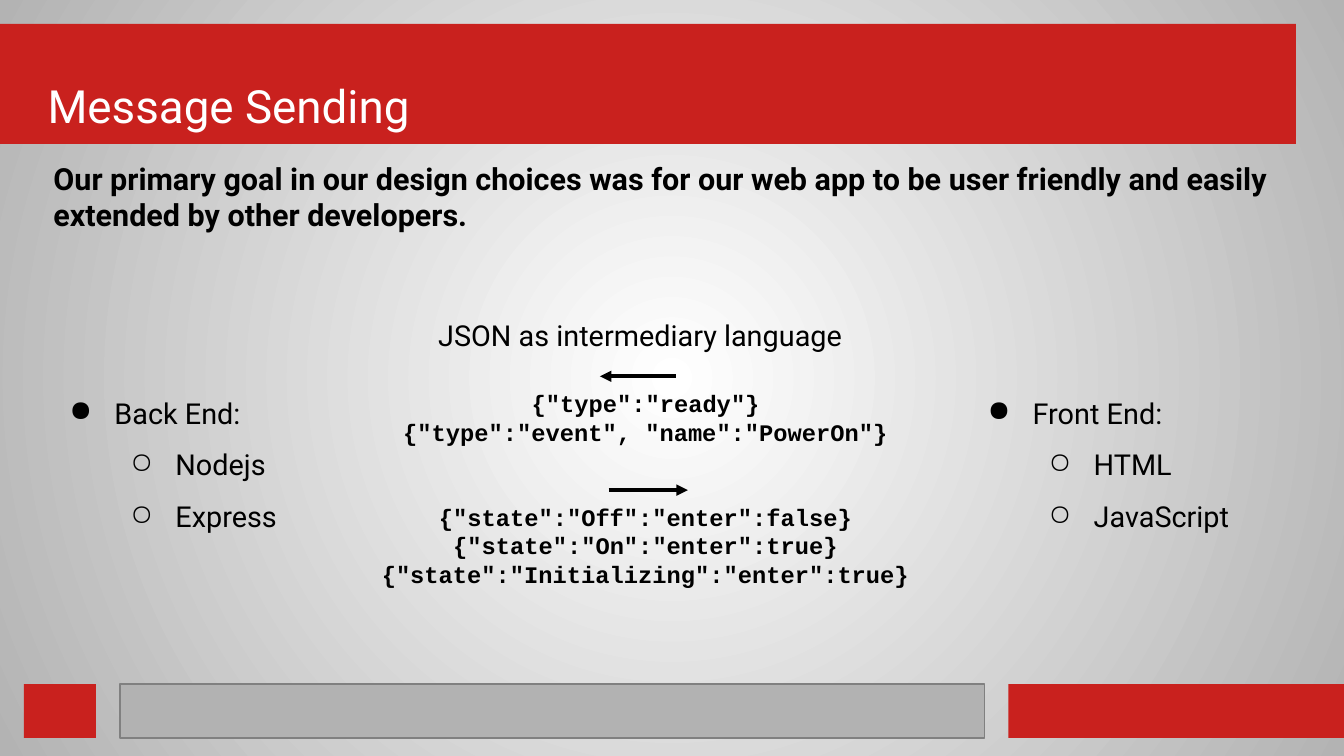
"""Build the Message Sending slide."""
from dataclasses import dataclass
from lxml.etree import SubElement as Sub
from pptx import Presentation
from pptx.dml.color import RGBColor as RGB
from pptx.enum.shapes import MSO_CONNECTOR as Conn, MSO_SHAPE as Form
from pptx.enum.text import MSO_ANCHOR as Anchor, MSO_AUTO_SIZE as Fit, PP_ALIGN as Align
from pptx.oxml.ns import qn
from pptx.util import Pt

TITLE = "Message Sending"
GOAL = ("Our primary goal in our design choices was for our web app "
        "to be user friendly and easily extended by other developers.")
BRIDGE = "JSON as intermediary language"
LISTS = [
    (24.5, 195.8, ["Back End:", "Nodejs", "Express"]),
    (566.6, 208.8, ["Front End:", "HTML", "JavaScript"]),
]
CODE = [
    ['{"type":"ready"}', '{"type":"event", "name":"PowerOn"}'],
    ['{"state":"Off":"enter":false}', '{"state":"On":"enter":true}',
     '{"state":"Initializing":"enter":true}'],
]
ARROWS = [(398.9, 354.2, 222.2), (359.3, 406.1, 289.4)]


@dataclass(frozen=True)
class Theme:
    """Colours, fonts and type sizes."""
    red: str = "C9211E"
    gray: str = "B2B2B2"
    edge: str = "808080"
    glow: str = "FFFFFF"
    rim: str = "B3B3B3"
    ink: str = "000000"
    sans: str = "Roboto"
    mono: str = "Courier New"
    head: float = 27
    lead: float = 18
    body: float = 17
    code: float = 14


T = Theme()
WIDE, HIGH = 793.44, 446.4
GAP = 14.17
PAD = 7.2
PITCH = 16.8

deck = Presentation()
deck.slide_width, deck.slide_height = Pt(WIDE), Pt(HIGH)
slide = deck.slides.add_slide(deck.slide_layouts[5])
shapes = slide.shapes


def paint():
    """Fill the background with a round gradient."""
    fill = slide.background.fill
    fill.gradient()
    for stop, hue in zip(fill.gradient_stops, (T.glow, T.rim)):
        stop.color.rgb = RGB.from_string(hue)
    grad = slide.element.find(".//" + qn("a:gradFill"))
    grad.remove(grad.find(qn("a:lin")))
    ring = Sub(grad, qn("a:path"), path="circle")
    Sub(ring, qn("a:fillToRect"), l="50000", t="50000", r="50000", b="50000")


def bar(x, y, w, h, hue, edge=None):
    """Draw a flat bar."""
    box = shapes.add_shape(Form.RECTANGLE, Pt(x), Pt(y), Pt(w), Pt(h))
    box.shadow.inherit = False
    box.fill.solid()
    box.fill.fore_color.rgb = RGB.from_string(hue)
    if edge:
        box.line.color.rgb = RGB.from_string(edge)
        box.line.width = Pt(0.75)
    else:
        box.line.fill.background()


def setup(frame, pad, anchor=Anchor.TOP):
    """Set wrapping, insets and anchor of a text frame."""
    frame.word_wrap = True
    frame.auto_size = Fit.NONE
    frame.vertical_anchor = anchor
    frame.margin_left = frame.margin_right = Pt(pad)
    frame.margin_top = frame.margin_bottom = Pt(pad)
    return frame


def text(x, y, w, h):
    """Add a text box and return its frame."""
    return setup(shapes.add_textbox(Pt(x), Pt(y), Pt(w), Pt(h)).text_frame, PAD)


def write(para, words, size, face=T.sans, hue=T.ink, bold=False):
    """Add one styled run."""
    run = para.add_run()
    run.text = words
    font = run.font
    font.name, font.size, font.bold = face, Pt(size), bold
    font.color.rgb = RGB.from_string(hue)


def line(frame, first):
    """Return the first paragraph or a new one."""
    return frame.paragraphs[0] if first else frame.add_paragraph()


def bullet(para, level):
    """Give a paragraph its bullet and hanging indent."""
    para.level = level
    para.line_spacing = 1.5
    prop = para._p.get_or_add_pPr()
    prop.set("marL", str(Pt(36 * (level + 1))))
    prop.set("indent", str(Pt(-26.6)))
    Sub(Sub(prop, qn("a:buClr")), qn("a:srgbClr"), val=T.ink)
    Sub(prop, qn("a:buChar"), char="●○"[level])


def arrow(start, end, y):
    """Draw a level arrow."""
    link = shapes.add_connector(Conn.STRAIGHT, Pt(start), Pt(y), Pt(end), Pt(y))
    link.line.color.rgb = RGB.from_string(T.ink)
    link.line.width = Pt(2.25)
    Sub(link.line._get_or_add_ln(), qn("a:tailEnd"), type="triangle")
    Sub(link.element.spPr, qn("a:effectLst"))


def main():
    """Compose and save the slide."""
    paint()
    bar(0, GAP, WIDE - 2 * GAP, 70.87, T.red)
    left = GAP
    for wide, hue, edge in [(42.52, T.red, None), (510.24, T.gray, T.edge),
                            (198.17, T.red, None)]:
        bar(left, 403.9, wide, 31.9, hue, edge)
        left += wide + GAP

    title = shapes.title
    title.element.getparent().append(title.element)
    title.left, title.top = Pt(28.1), Pt(21.6)
    title.width, title.height = Pt(736.6), Pt(56.9)
    para = setup(title.text_frame, 0, Anchor.BOTTOM).paragraphs[0]
    para.alignment = Align.LEFT
    write(para, TITLE, T.head, hue=T.glow)

    write(text(24.5, 87.1, 744.5, 58.3).paragraphs[0], GOAL, T.lead, bold=True)
    para = text(207.4, 169.9, 341.3, 35.3).paragraphs[0]
    para.alignment, para.line_spacing = Align.CENTER, 1.5
    write(para, BRIDGE, T.body)

    for x, wide, items in LISTS:
        frame = text(x, 216, wide, 97.2)
        for i, item in enumerate(items):
            para = line(frame, i == 0)
            bullet(para, min(i, 1))
            write(para, item, T.body)

    frame = text(212.4, 222.5, 337.7, 133.2)
    for g, group in enumerate(CODE):
        for i, words in enumerate(group):
            para = line(frame, g == i == 0)
            para.alignment, para.line_spacing = Align.CENTER, Pt(PITCH)
            if g and i == 0:
                para.space_before = Pt(2 * PITCH)
            write(para, words, T.code, T.mono, bold=True)

    for ends in ARROWS:
        arrow(*ends)
    deck.save("out.pptx")


if __name__ == "__main__":
    main()
